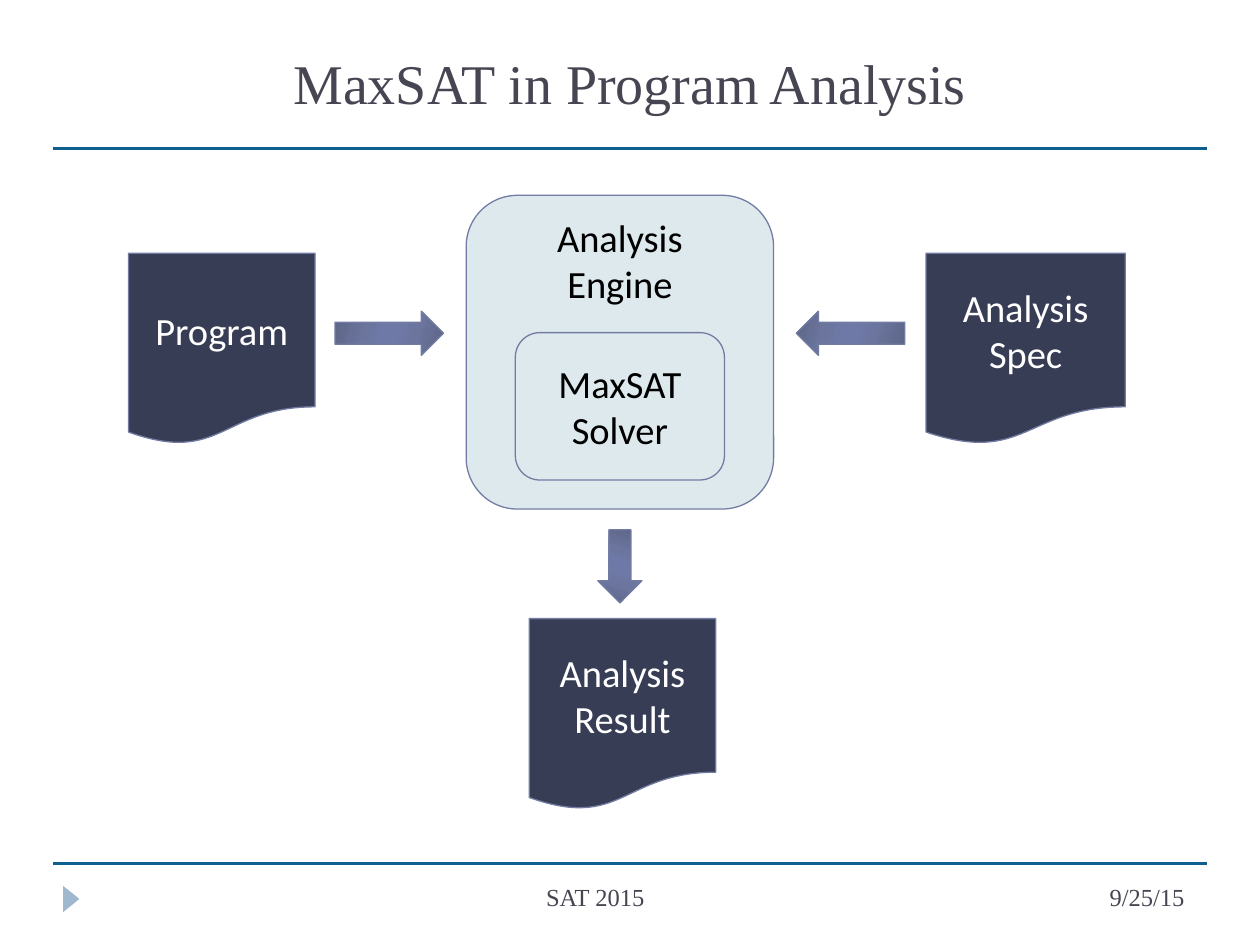
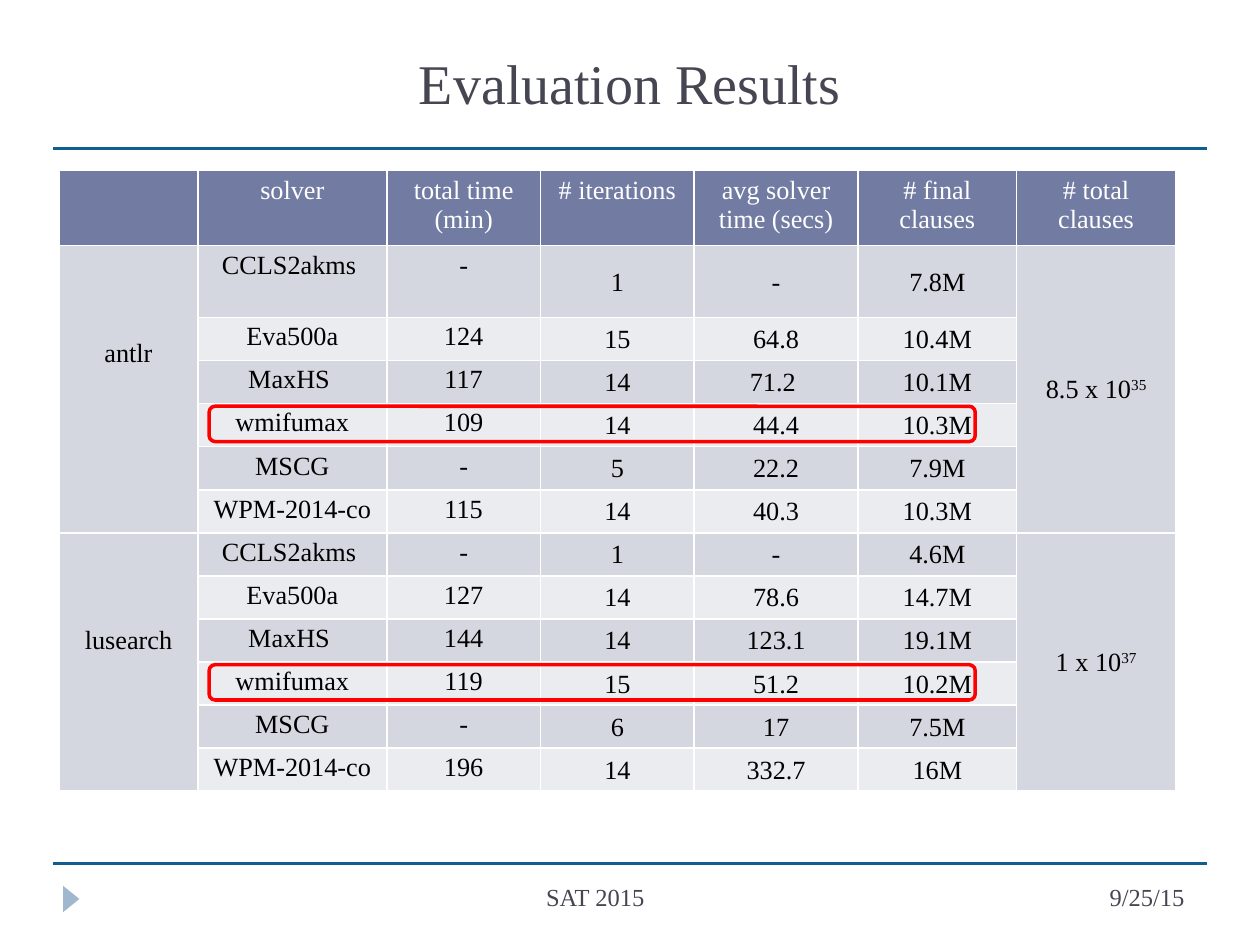
from lxml.etree import SubElement
from pptx import Presentation
from pptx.dml.color import RGBColor
from pptx.enum.shapes import MSO_CONNECTOR, MSO_SHAPE
from pptx.enum.text import MSO_ANCHOR, PP_ALIGN
from pptx.oxml.ns import qn
from pptx.util import Inches, Pt

# Shared look
SERIF, SANS = "Times New Roman", "Calibri"
INK, RULE, MARK = "464653", "0F5E90", "9FB8CD"
EDGE, NAVY, PALE = "727CA3", "373D54", "DDE9EC"
WHITE, BLACK, RED = "FFFFFF", "000000", "FF0000"
BANDS = ["D5D7E0", "EBECF0"]
GLOW = [(0, "5D6585"), (30, "6B759E"), (45, "6E79A7"),
        (55, "6E79A7"), (73, "6B759E"), (100, "5D6585")]

# Slide 1: boxes as kind, place, lines, fill, text colour, anchor
DOC, ROUND = MSO_SHAPE.FLOWCHART_DOCUMENT, MSO_SHAPE.ROUNDED_RECTANGLE
MID, TOP = MSO_ANCHOR.MIDDLE, MSO_ANCHOR.TOP
BOXES = [
    (ROUND, (3.7, 1.55, 2.44, 2.49), ["Analysis", "Engine"], PALE, BLACK, TOP),
    (ROUND, (4.09, 2.64, 1.66, 1.17), ["MaxSAT", "Solver"], PALE, BLACK, MID),
    (DOC, (1.02, 2.01, 1.48, 1.52), ["Program"], NAVY, WHITE, MID),
    (DOC, (7.35, 2.01, 1.58, 1.52), ["Analysis", "Spec"], NAVY, WHITE, MID),
    (DOC, (4.2, 4.91, 1.48, 1.52), ["Analysis", "Result"], NAVY, WHITE, MID),
]
ARROWS = [((2.66, 2.47, 0.86, 0.35), 0),
          ((6.32, 2.47, 0.86, 0.35), 180),
          ((4.63, 4.32, 0.58, 0.35), 90)]

# Slide 2: results by benchmark
HEAD = ["", "solver", "total time (min)", "# iterations",
        "avg solver time (secs)", "# final\nclauses", "# total clauses"]
GROUPS = [
    ("antlr", ("8.5 x 10", "35"), [
        ("CCLS2akms ", "-", "1", "-", "7.8M"),
        ("Eva500a", "124", "15", "64.8", "10.4M"),
        ("MaxHS ", "117", "14", "71.2 ", "10.1M"),
        ("wmifumax", "109", "14", "44.4", "10.3M"),
        ("MSCG", "-", "5", "22.2", "7.9M"),
        ("WPM-2014-co", "115", "14", "40.3", "10.3M")]),
    ("lusearch", ("1 x 10", "37"), [
        ("CCLS2akms ", "-", "1", "-", "4.6M"),
        ("Eva500a", "127", "14", "78.6", "14.7M"),
        ("MaxHS ", "144", "14", "123.1", "19.1M"),
        ("wmifumax", "119", "15", "51.2", "10.2M"),
        ("MSCG", "-", "6", "17", "7.5M"),
        ("WPM-2014-co", "196", "14", "332.7", "16M")]),
]
BEST = "wmifumax"
WIDTHS = [1.1, 1.5, 1.22, 1.22, 1.3, 1.26, 1.26]
HEIGHTS = [0.59, 0.57] + [3.76 / 11] * 11
LEFT, UPPER, RING = 0.47, 1.35, 0.28


def color(code):
    return RGBColor.from_string(code)


def place(box):
    return [Inches(v) for v in box]


def write(para, text, size, font, ink, align=PP_ALIGN.CENTER):
    """Add text to a paragraph, breaking lines at each newline."""
    para.alignment = align
    for i, part in enumerate(text.split("\n")):
        if i:
            para.add_line_break()
        run = para.add_run()
        run.text = part
        run.font.size, run.font.name = Pt(size), font
        run.font.color.rgb = color(ink)
    return run


def draw(slide, kind, box, fill=None, edge=None, width=0.75):
    shape = slide.shapes.add_shape(kind, *place(box))
    shape.shadow.inherit = False
    if fill:
        shape.fill.solid()
        shape.fill.fore_color.rgb = color(fill)
    else:
        shape.fill.background()
    if edge:
        shape.line.color.rgb = color(edge)
        shape.line.width = Pt(width)
    else:
        shape.line.fill.background()
    return shape


def start(deck, title):
    """Add a slide with title, rules, marker and footer."""
    slide = deck.slides.add_slide(deck.slide_layouts[5])
    head = slide.shapes.title
    head.left, head.top, head.width, head.height = place((0.5, 0.17, 9, 0.97))
    head.text_frame.vertical_anchor = MID
    write(head.text_frame.paragraphs[0], title, 32, SERIF, INK)
    for y in (1.18, 6.85):
        rule = slide.shapes.add_connector(
            MSO_CONNECTOR.STRAIGHT, *place((0.42, y, 9.58, y)))
        rule.line.color.rgb = color(RULE)
        rule.line.width = Pt(1.75)
        SubElement(rule._element.spPr, qn("a:effectLst"))
    mark = draw(slide, MSO_SHAPE.ISOSCELES_TRIANGLE, (0.46, 7.07, 0.21, 0.13), MARK)
    mark.rotation = 90
    for text, box, align in [
            ("9/25/15", (7, 6.95, 2.5, 0.4), PP_ALIGN.RIGHT),
            ("SAT 2015", (1.56, 6.95, 6.33, 0.4), PP_ALIGN.CENTER)]:
        frame = slide.shapes.add_textbox(*place(box)).text_frame
        frame.word_wrap = True
        write(frame.paragraphs[0], text, 14, SERIF, INK, align)
    return slide


def shade(shape):
    """Fill with the many-stop gradient."""
    shape.fill.gradient()
    shape.fill.gradient_angle = 0
    grad = shape._element.spPr.find(qn("a:gradFill"))
    stops = grad.find(qn("a:gsLst"))
    for old in list(stops):
        stops.remove(old)
    for pos, code in GLOW:
        stop = SubElement(stops, qn("a:gs"), pos=str(pos * 1000))
        SubElement(stop, qn("a:srgbClr"), val=code)
    grad.find(qn("a:lin")).set("ang", str(16 * 60000))


def paint(cell, fill):
    """Set the white borders, then the fill."""
    props = cell._tc.get_or_add_tcPr()
    for side in "LRTB":
        line = SubElement(props, qn("a:ln" + side), w=str(Pt(1)))
        solid = SubElement(line, qn("a:solidFill"))
        SubElement(solid, qn("a:srgbClr"), val=WHITE)
    cell.fill.solid()
    cell.fill.fore_color.rgb = color(fill)


def tight(cell):
    cell.margin_left = cell.margin_right = cell.margin_top = Inches(0.01)
    cell.margin_bottom = 0
    cell.vertical_anchor = MID


def flow(deck):
    slide = start(deck, "MaxSAT in Program Analysis")
    for box, turn in ARROWS:
        arrow = draw(slide, MSO_SHAPE.RIGHT_ARROW, box, EDGE, EDGE)
        arrow.rotation = turn
        shade(arrow)
    for kind, box, lines, fill, ink, anchor in BOXES:
        shape = draw(slide, kind, box, fill, EDGE)
        frame = shape.text_frame
        frame.word_wrap = True
        frame.vertical_anchor = anchor
        frame.margin_top = frame.margin_bottom = Inches(0.03)
        for i, text in enumerate(lines):
            para = frame.add_paragraph() if i else frame.paragraphs[0]
            write(para, text, 22, SANS, ink)


def results(deck):
    slide = start(deck, "Evaluation Results")
    grid = slide.shapes.add_table(
        len(HEIGHTS), len(HEAD),
        *place((LEFT, UPPER, sum(WIDTHS), sum(HEIGHTS)))).table
    for col, width in zip(grid.columns, WIDTHS):
        col.width = Inches(width)
    for row, height in zip(grid.rows, HEIGHTS):
        row.height = Inches(height)

    def put(cell, text, ink=BLACK):
        return write(cell.text_frame.paragraphs[0], text, 15, SERIF, ink)

    # Header row
    for c, text in enumerate(HEAD):
        cell = grid.cell(0, c)
        paint(cell, EDGE)
        if text:
            put(cell, text, WHITE)

    # Benchmark groups, with merged outer columns
    last, r = len(HEAD) - 1, 1
    for name, (stem, power), rows in GROUPS:
        first, end = r, r + len(rows) - 1
        for i, row in enumerate(rows):
            for c in range(len(HEAD)):
                cell = grid.cell(r, c)
                outer = c in (0, last)
                paint(cell, BANDS[0 if outer else i % 2])
                if outer or c > 2:
                    tight(cell)
                else:
                    cell.margin_top = Inches(0.04)
                    cell.margin_bottom = Inches(0.02)
                if not outer:
                    put(cell, row[c - 1])
            # Ring centred on the best solver's row
            if row[0] == BEST:
                y = UPPER + sum(HEIGHTS[:r]) + (HEIGHTS[r] - RING) / 2
                draw(slide, ROUND, (1.66, y, 6.08, RING), edge=RED, width=2)
            r += 1
        for c in (0, last):
            grid.cell(first, c).merge(grid.cell(end, c))
        label, total = grid.cell(first, 0), grid.cell(first, last)
        label.vertical_anchor = TOP
        label.margin_top = Inches(0.74)
        put(label, name)
        put(total, stem)
        put(total, power).font._element.set("baseline", "30000")


def main():
    deck = Presentation()
    deck.slide_width, deck.slide_height = Inches(10), Inches(7.5)
    flow(deck)
    results(deck)
    deck.save("out.pptx")


if __name__ == "__main__":
    main()
